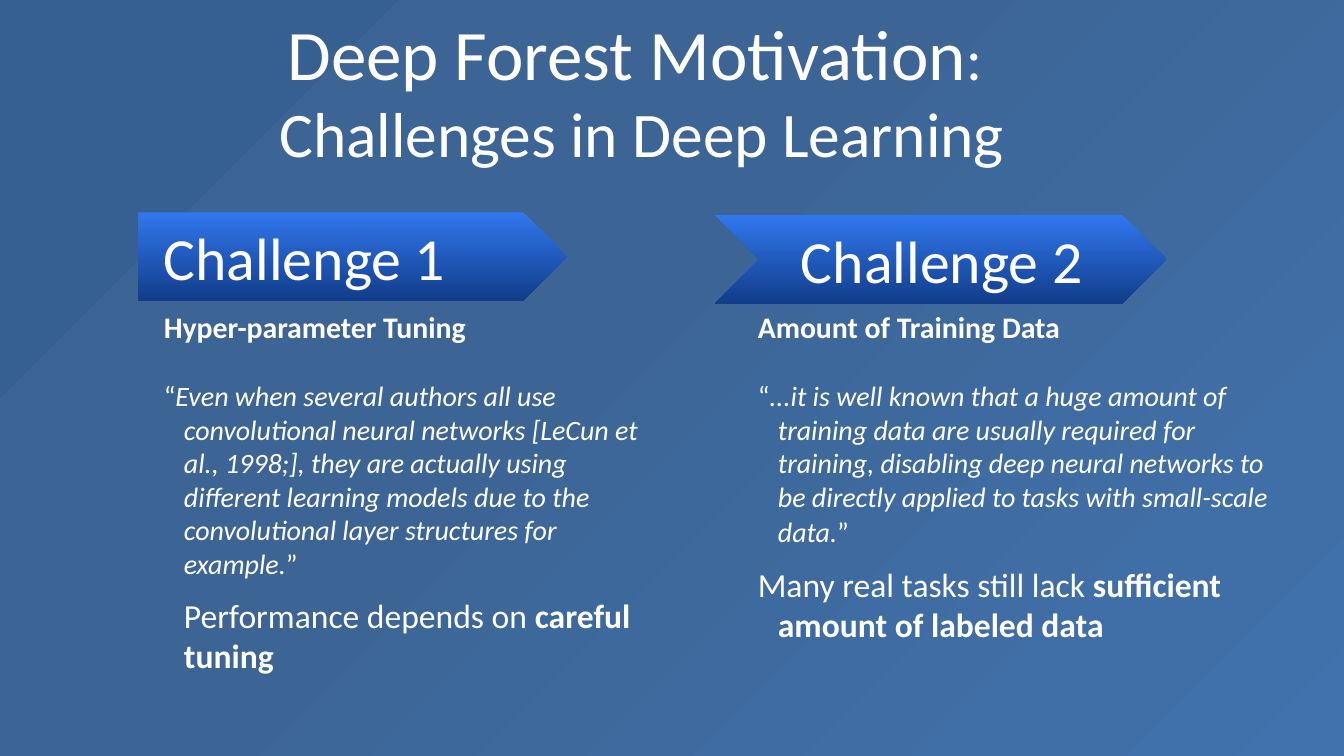
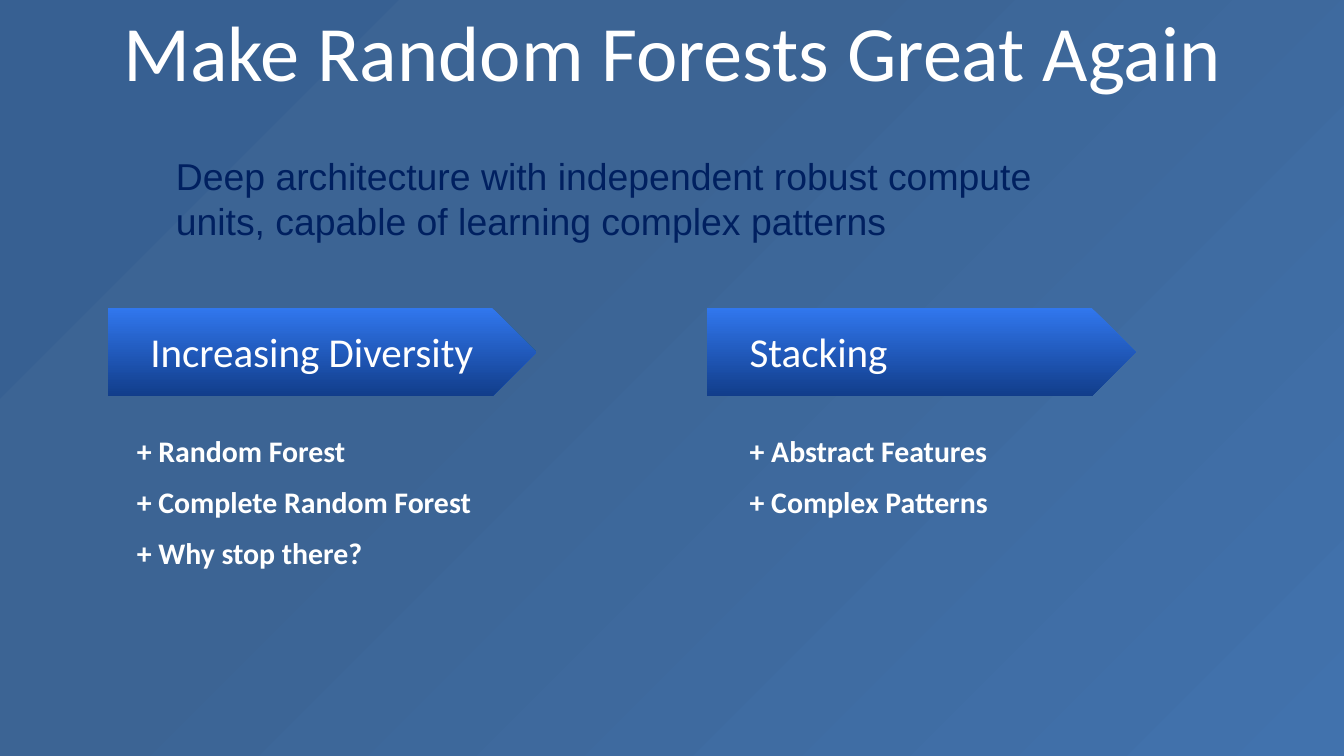
from lxml import etree
from pptx import Presentation
from pptx import util as u
from pptx.dml.color import RGBColor
from pptx.enum import shapes, text
from pptx.oxml import ns

WHITE = RGBColor(0xFF, 0xFF, 0xFF)
NAVY = RGBColor(0x00, 0x20, 0x60)
BANNER_STOPS = [(0, RGBColor(0x31, 0x77, 0xEE)), (100, RGBColor(0x11, 0x3D, 0x8A))]
BACKGROUND_STOPS = [
    (0, RGBColor(0x41, 0x72, 0xAD)),
    (62, RGBColor(0x3C, 0x64, 0x94)),
    (100, RGBColor(0x37, 0x60, 0x92)),
    (100, RGBColor(0x33, 0x5A, 0x88)),
]
PENTAGON = shapes.MSO_SHAPE.PENTAGON
CHEVRON = shapes.MSO_SHAPE.CHEVRON

SLIDE_WIDTH = u.Inches(10)
SLIDE_HEIGHT = SLIDE_WIDTH * 9 // 16
INSET = 0.1
MARGIN, HANGING = 0.37, -0.15
BANNER_HEIGHT, LABEL_HEIGHT = 0.66, 0.34

SLIDES = [
    {
        "title_box": (0.16, 0.09, 9.13, 1.16),
        "title": [("Deep Forest Motivation", 38, ""), (":\v ", 32, ""),
                  ("Challenges in Deep Learning", 34, "")],
        "label_size": 32,
        "label_drop": 0.16,
        "columns": [
            {
                "label": "Challenge 1",
                "form": PENTAGON,
                "banner": (1.03, 1.58, 3.19),
                "label_span": (0.9, 2.92),
                "body_box": (0.9, 2.2, 4.01, 3.12),
                "body": [
                    (HANGING, 0, [("Hyper-parameter Tuning", 16, "b")]),
                    (HANGING, 10, [
                        ("“", 15, ""),
                        ("Even when several authors all use convolutional neural networks "
                         "[LeCun et al., 1998;], they are actually using different learning "
                         "models due to the convolutional layer structures for example.", 15, "i"),
                        ("”", 15, "")]),
                    (0, 0, [("Performance depends on ", 18, ""), ("careful tuning", 18, "b")]),
                ],
            },
            {
                "label": "Challenge 2",
                "form": CHEVRON,
                "banner": (5.32, 1.6, 3.36),
                "label_span": (5.64, 2.72),
                "body_box": (5.32, 2.2, 4.26, 3.25),
                "body": [
                    (HANGING, 0, [("Amount of Training Data", 16, "b")]),
                    (HANGING, 10, [
                        ("“", 15, ""),
                        ("...it is well known that a huge amount of training data are usually "
                         "required for training, disabling deep neural networks to be directly "
                         "applied to tasks with small-scale data.", 15, "i"),
                        ("”", 15, ""),
                        (" ", 16, "")]),
                    (HANGING, 0, [("Many real tasks still lack ", 18, ""),
                                  ("sufficient amount of labeled data", 18, "b")]),
                ],
            },
        ],
    },
    {
        "title_box": (0.5, 0, 9, 0.75),
        "title": [("Make Random Forests Great Again", 42, "")],
        "summary_box": (1.21, 1.09, 6.69, 0.77),
        "summary": "Deep architecture with independent robust compute units, "
                   "capable of learning complex patterns",
        "label_size": 22,
        "label_drop": 0.15,
        "columns": [
            {
                "label": "Increasing Diversity",
                "form": PENTAGON,
                "banner": (0.8, 2.29, 3.19),
                "label_span": (0.8, 2.92),
                "body_box": (0.7, 3.12, 4.01, 1.74),
                "body": [(HANGING, 0, [(item, 16, "b")]) for item in
                         ("+ Random Forest", "+ Complete Random Forest", "+ Why stop there?")],
            },
            {
                "label": "Stacking",
                "form": PENTAGON,
                "banner": (5.26, 2.29, 3.19),
                "label_span": (5.26, 2.92),
                "body_box": (5.26, 3.12, 3.19, 1.74),
                "body": [(HANGING, 0, [(item, 16, "b")]) for item in
                         ("+ Abstract Features", "+ Complex Patterns")],
            },
        ],
    },
]


def inches(box):
    return [u.Inches(length) for length in box]


def set_gradient(fill, owner, stops, radial=False):
    fill.gradient()
    gradient = owner.find(".//" + ns.qn("a:gradFill"))
    for child in list(gradient):
        gradient.remove(child)
    stop_list = etree.SubElement(gradient, ns.qn("a:gsLst"))
    for position, color in stops:
        stop = etree.SubElement(stop_list, ns.qn("a:gs"), pos=str(position * 1000))
        etree.SubElement(stop, ns.qn("a:srgbClr"), val=str(color))
    if radial:
        circle = etree.SubElement(gradient, ns.qn("a:path"), path="circle")
        etree.SubElement(circle, ns.qn("a:fillToRect"), l="100000", t="100000")
    else:
        etree.SubElement(gradient, ns.qn("a:lin"), ang="5400000", scaled="0")


def add_frame(slide, box, anchor=text.MSO_ANCHOR.TOP, vertical_inset=INSET):
    frame = slide.shapes.add_textbox(*inches(box)).text_frame
    frame.word_wrap = True
    frame.vertical_anchor = anchor
    frame.margin_left = frame.margin_right = u.Inches(INSET)
    frame.margin_top = frame.margin_bottom = u.Inches(vertical_inset)
    return frame


def write_runs(paragraph, runs, font="Calibri", color=WHITE):
    for words, size, style in runs:
        for index, part in enumerate(words.split("\v")):
            if index:
                paragraph.add_line_break()
            run = paragraph.add_run()
            run.text = part
            run.font.name = font
            run.font.size = u.Pt(size)
            run.font.color.rgb = color
            run.font.bold = style == "b"
            run.font.italic = style == "i"


def indent(paragraph, first_line):
    properties = paragraph._p.get_or_add_pPr()
    properties.set("marL", str(u.Inches(MARGIN)))
    properties.set("indent", str(u.Inches(first_line)))


def add_column(slide, column, label_size, label_drop):
    left, top, width = column["banner"]
    banner = slide.shapes.add_shape(column["form"], *inches((left, top, width, BANNER_HEIGHT)))
    banner.adjustments[0] = 0.5
    banner.shadow.inherit = False
    banner.line.fill.background()
    set_gradient(banner.fill, banner.element.spPr, BANNER_STOPS)

    label_left, label_width = column["label_span"]
    label_box = (label_left, top + label_drop, label_width, LABEL_HEIGHT)
    label = add_frame(slide, label_box, text.MSO_ANCHOR.MIDDLE).paragraphs[0]
    indent(label, HANGING)
    write_runs(label, [(column["label"], label_size, "")])

    frame = add_frame(slide, column["body_box"])
    for index, (first_line, space_before, runs) in enumerate(column["body"]):
        paragraph = frame.add_paragraph() if index else frame.paragraphs[0]
        indent(paragraph, first_line)
        paragraph.space_before = u.Pt(space_before)
        paragraph.space_after = u.Pt(8)
        write_runs(paragraph, runs)


def add_slide(presentation, content):
    slide = presentation.slides.add_slide(presentation.slide_layouts[6])
    set_gradient(slide.background.fill, slide.element, BACKGROUND_STOPS, radial=True)
    title = add_frame(slide, content["title_box"], text.MSO_ANCHOR.MIDDLE).paragraphs[0]
    title.alignment = text.PP_ALIGN.CENTER
    write_runs(title, content["title"])
    for column in content["columns"]:
        add_column(slide, column, content["label_size"], content["label_drop"])
    if "summary" in content:
        frame = add_frame(slide, content["summary_box"], vertical_inset=0.05)
        frame.auto_size = text.MSO_AUTO_SIZE.SHAPE_TO_FIT_TEXT
        write_runs(frame.paragraphs[0], [(content["summary"], 20, "")], "Arial", NAVY)


def main():
    presentation = Presentation()
    presentation.slide_width = SLIDE_WIDTH
    presentation.slide_height = SLIDE_HEIGHT
    for content in SLIDES:
        add_slide(presentation, content)
    presentation.save("out.pptx")


if __name__ == "__main__":
    main()
